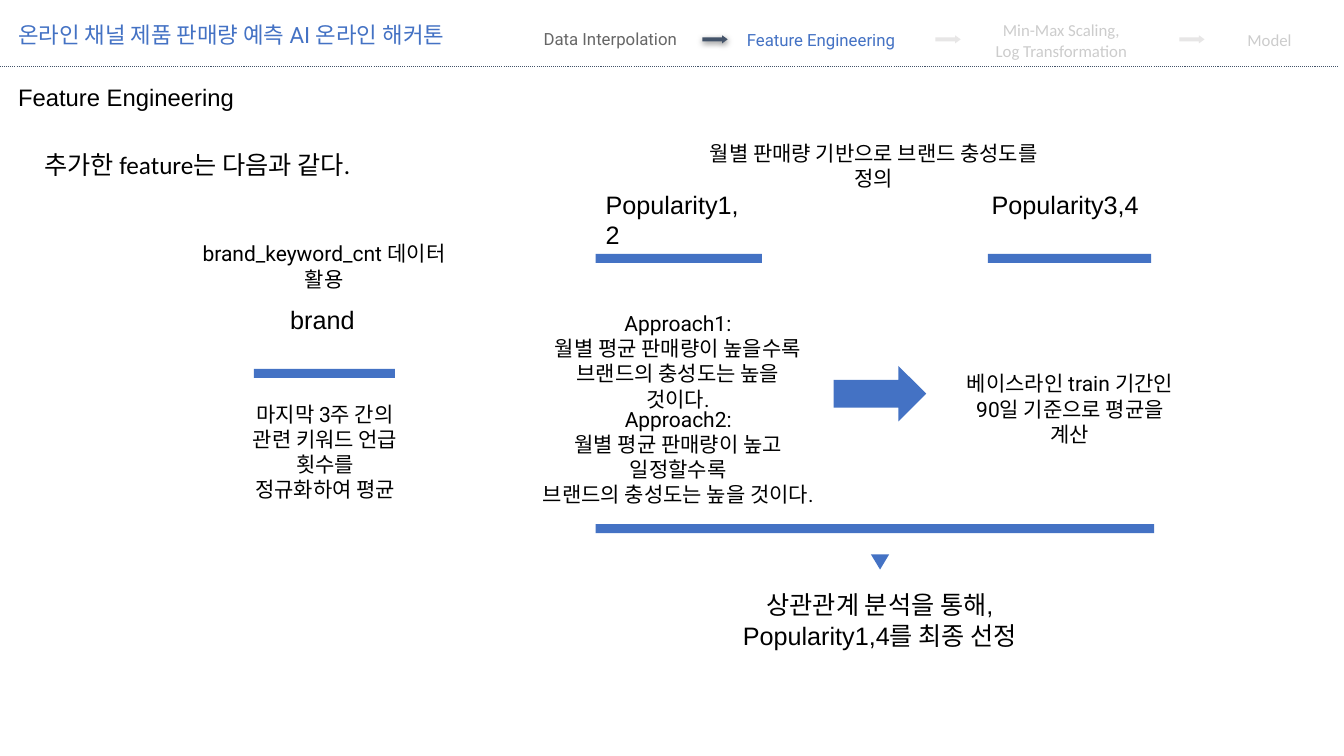
from lxml import etree
from pptx import Presentation
from pptx.dml.color import RGBColor
from pptx.enum.dml import MSO_LINE
from pptx.enum.shapes import MSO_CONNECTOR, MSO_SHAPE as SHAPE
from pptx.enum.text import MSO_AUTO_SIZE as FIT, PP_ALIGN as ALIGN
from pptx.oxml import parse_xml
from pptx.oxml.ns import nsdecls, qn
from pptx.util import Pt

COLORS = {"blue": "4472C4", "navy": "44546A", "black": "000000",
          "gray": "666666", "faded": "CCCCCC", "pale": "E7E6E6"}

deck = Presentation()
deck.slide_width, deck.slide_height = Pt(960), Pt(540)
slide = deck.slides.add_slide(deck.slide_layouts[6])


def add_text(box, lines, size, font, color="black", align=ALIGN.CENTER,
             inset=(7.2, 3.6), fit=FIT.SHAPE_TO_FIT_TEXT, spacing=1.0):
    frame = slide.shapes.add_textbox(*map(Pt, box)).text_frame
    side, edge = map(Pt, inset)
    frame_format = {"word_wrap": True, "auto_size": fit,
                    "margin_left": side, "margin_right": side,
                    "margin_top": edge, "margin_bottom": edge}
    for name, value in frame_format.items():
        setattr(frame, name, value)
    for index, line in enumerate(lines):
        paragraph = frame.add_paragraph() if index else frame.paragraphs[0]
        paragraph.alignment, paragraph.line_spacing = align, spacing
        run = paragraph.add_run()
        run.text = line
        for name, value in {"size": Pt(size), "name": font}.items():
            setattr(run.font, name, value)
        run.font.color.rgb = RGBColor.from_string(COLORS[color])


def add_solid(kind, box, color="blue"):
    solid = slide.shapes.add_shape(kind, *map(Pt, box))
    solid.shadow.inherit = False
    solid.fill.solid()
    solid.fill.fore_color.rgb = RGBColor.from_string(COLORS[color])
    solid.line.fill.background()
    return solid


header = {"inset": (7.2, 7.2), "fit": FIT.NONE}
add_text((5.8, 7.9, 378.7, 33.8), ["온라인 채널 제품 판매량 예측 AI 온라인 해커톤"],
         16, "Roboto", "blue", ALIGN.LEFT, **header)

divider = slide.shapes.add_connector(MSO_CONNECTOR.STRAIGHT, Pt(0), Pt(47.5), Pt(956.2), Pt(47.5))
divider.line.color.rgb = RGBColor.from_string(COLORS["navy"])
divider.line.width = Pt(0.75)
divider.line.dash_style = MSO_LINE.ROUND_DOT
etree.SubElement(divider._element.spPr, qn("a:effectLst"))

steps = [
    ((370.1, 13, 131.8, 28.8), ["Data Interpolation"], "Roboto", "gray"),
    ((524.9, 13.7, 123.1, 23), ["Feature Engineering"], "Roboto", "blue"),
    ((644.4, 7.2, 227.5, 38.9), ["Min-Max Scaling,", "Log Transformation"], "Calibri", "faded"),
    ((864.7, 14.4, 84.2, 19.4), ["Model"], "Calibri", "faded"),
]
for box, lines, font, color in steps:
    add_text(box, lines, 12, font, color, **header)

step_arrows = []
for left, color in [(501.8, "navy"), (668.2, "pale"), (842.4, "pale")]:
    step_arrow = add_solid(SHAPE.RIGHT_ARROW, (left, 25.2, 18, 5.8), color)
    step_arrow.adjustments[1] = 0.69
    step_arrows.append(step_arrow)
effects = step_arrows[0]._element.spPr.find(qn("a:effectLst"))
effects.append(parse_xml(
    f'<a:outerShdw {nsdecls("a")} blurRad="{Pt(4.5)}" dist="{Pt(1.5)}" dir="5400000">'
    f'<a:srgbClr val="{COLORS["black"]}"><a:alpha val="50000"/></a:srgbClr></a:outerShdw>'))

add_text((5.8, 54, 293.8, 36), ["Feature Engineering"], 17, "Arial",
         align=ALIGN.LEFT, spacing=0.9, **header)
add_text((24.5, 103, 229.7, 28.8), ["추가한 feature는 다음과 같다."], 18, "Calibri", align=ALIGN.LEFT)

features = [
    ((200.2, 213.8, 62.6, 28.8), "brand"),
    ((425.5, 131.8, 118.8, 28.8), "Popularity1,2"),
    ((701.3, 131.8, 122.4, 28.8), "Popularity3,4"),
]
for box, feature in features:
    add_text(box, [feature], 18, "Arial", align=ALIGN.LEFT)

for left, top, width in [(181.4, 263.5, 100.8), (425.5, 181.4, 118.8),
                         (705.6, 181.4, 116.6), (425.5, 374.4, 398.9)]:
    add_solid(SHAPE.RECTANGLE, (left, top, width, 6.5))

explanations = [
    ((123.1, 168.5, 216.7, 25.2), ["brand_keyword_cnt 데이터 활용"]),
    ((151.2, 283, 162, 61.9), ["마지막 3주 간의", "관련 키워드 언급 횟수를", "정규화하여 평균"]),
    ((488.9, 96.5, 270.7, 25.2), ["월별 판매량 기반으로 브랜드 충성도를 정의"]),
    ((383.8, 218.2, 200.9, 61.9),
     ["Approach1:", "월별 평균 판매량이 높을수록", "브랜드의 충성도는 높을 것이다."]),
    ((368.6, 286.6, 231.8, 61.9),
     ["Approach2:", "월별 평균 판매량이 높고 일정할수록", "브랜드의 충성도는 높을 것이다."]),
    ((676.1, 261.4, 176.4, 43.9), ["베이스라인 train 기간인", "90일 기준으로 평균을 계산"]),
]
for box, lines in explanations:
    add_text(box, lines, 15, "Roboto")

add_solid(SHAPE.RIGHT_ARROW, (595.4, 261.4, 66.2, 39.6))
add_solid(SHAPE.ISOSCELES_TRIANGLE, (622.1, 396, 13, 10.8)).rotation = 180
add_text((522, 417.6, 213.1, 51.1), ["상관관계 분석을 통해,", "Popularity1,4를 최종 선정"], 18, "Arial")

deck.save("out.pptx")
